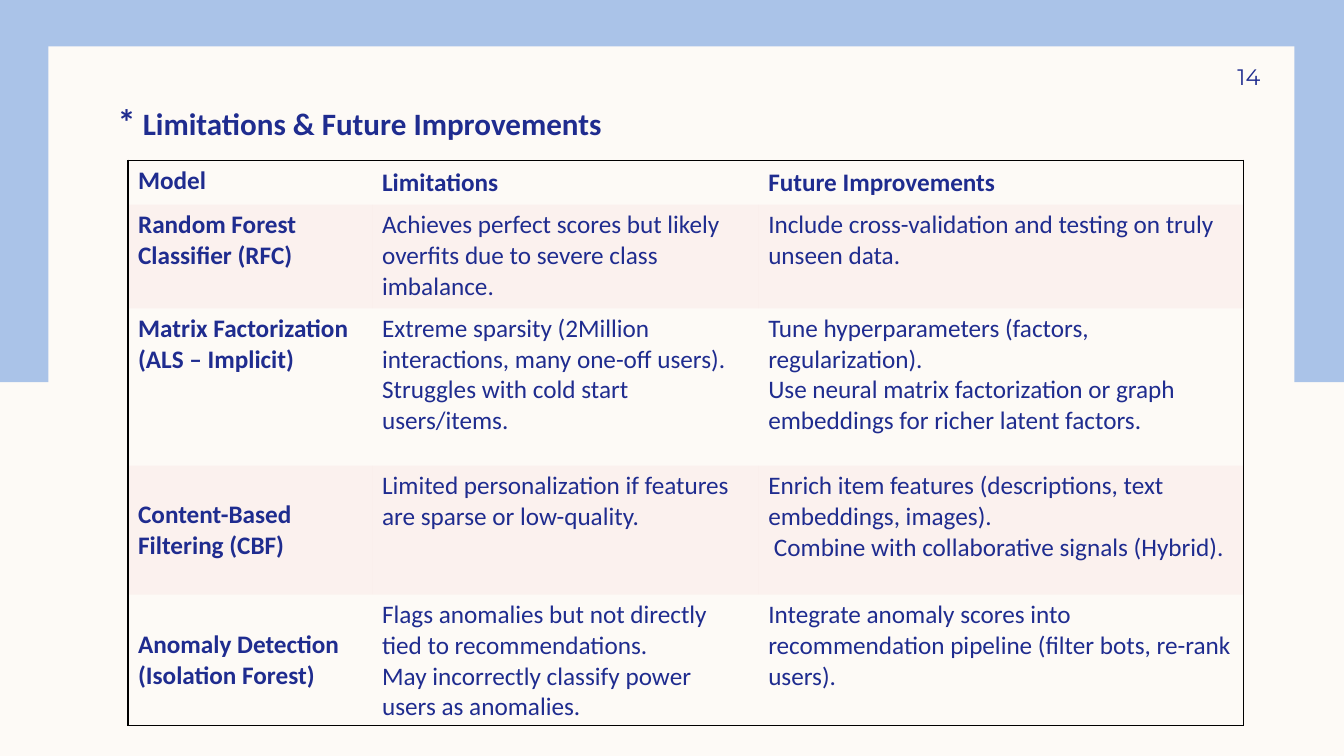
import dataclasses
import typing

import lxml.etree
import pptx
import pptx.dml.color
import pptx.enum.shapes
import pptx.enum.text
import pptx.oxml.ns
import pptx.util

Inches = pptx.util.Inches
Pt = pptx.util.Pt
RGB = pptx.dml.color.RGBColor
Anchor = pptx.enum.text.MSO_ANCHOR
Align = pptx.enum.text.PP_ALIGN
qn = pptx.oxml.ns.qn

NAVY = RGB(0x1F, 0x2C, 0x8F)
BLUE = RGB(0xAA, 0xC3, 0xE8)
CREAM = RGB(0xFD, 0xFA, 0xF6)
PINK = RGB(0xF5, 0xCD, 0xCE)
BLACK = RGB(0, 0, 0)


@dataclasses.dataclass
class Box:
    left: float
    top: float
    width: float
    height: float

    def place(self) -> list[int]:
        return [Inches(side) for side in dataclasses.astuple(self)]


@dataclasses.dataclass
class Row:
    height: float
    model: str
    limits: list[str]
    plans: list[str]
    middle: tuple[int, ...] = ()


PANELS = [
    (Box(-0.03, 0, 13.36, 3.79), BLUE),
    (Box(0.48, 0.46, 12.36, 6.59), CREAM),
]
WIDTHS = [2.42, 3.83, 4.81]
ROWS = [
    Row(0.44, "Model", ["Limitations"], ["Future Improvements"], (1, 2)),
    Row(1.03, "Random Forest Classifier (RFC)",
        ["Achieves perfect scores but likely overfits due to severe class imbalance."],
        ["Include cross-validation and testing on truly unseen data."]),
    Row(1.56, "Matrix Factorization (ALS – Implicit)",
        ["Extreme sparsity (2Million interactions, many one-off users). "
         "Struggles with cold start users/items."],
        ["Tune hyperparameters (factors, regularization).",
         "Use neural matrix factorization or graph embeddings for richer latent factors."]),
    Row(1.28, "Content-Based Filtering (CBF)",
        ["Limited personalization if features are sparse or low-quality."],
        ["Enrich item features (descriptions, text embeddings, images).",
         " Combine with collaborative signals (Hybrid)."], (0,)),
    Row(1.28, "Anomaly Detection (Isolation Forest)",
        ["Flags anomalies but not directly tied to recommendations.",
         "May incorrectly classify power users as anomalies."],
        ["Integrate anomaly scores into recommendation pipeline "
         "(filter bots, re-rank users)."], (0,)),
]


def assign(target: typing.Any, values: dict[str, typing.Any]) -> None:
    for name, value in values.items():
        setattr(target, name, value)


def write(para: typing.Any, text: str, size: float, font: str = "Calibri",
          bold: bool = False) -> None:
    run = para.add_run()
    run.text = text
    assign(run.font, {"size": Pt(size), "name": font, "bold": bold})
    run.font.color.rgb = NAVY


def panel(slide: typing.Any, box: Box, color: RGB) -> None:
    kind = pptx.enum.shapes.MSO_SHAPE.RECTANGLE
    shape = slide.shapes.add_shape(kind, *box.place())
    shape.shadow.inherit = False
    shape.fill.solid()
    shape.fill.fore_color.rgb = color
    shape.line.fill.background()


def label(slide: typing.Any, box: Box, frame: dict[str, typing.Any],
          style: dict[str, typing.Any]) -> typing.Any:
    body = slide.shapes.add_textbox(*box.place()).text_frame
    assign(body, {"word_wrap": True, **frame})
    para = body.paragraphs[0]
    assign(para, style)
    return para


def border(cell: typing.Any, sides: dict[str, bool]) -> None:
    props = cell._tc.get_or_add_tcPr()
    for side, drawn in sides.items():
        line = lxml.etree.SubElement(props, qn(f"a:ln{side}"), w=str(Pt(1)))
        if drawn:
            fill = lxml.etree.SubElement(line, qn("a:solidFill"))
            lxml.etree.SubElement(fill, qn("a:srgbClr"), val=str(BLACK))
        else:
            lxml.etree.SubElement(line, qn("a:noFill"))


def shade(cell: typing.Any, tinted: bool) -> None:
    if not tinted:
        cell.fill.background()
        return
    cell.fill.solid()
    cell.fill.fore_color.rgb = PINK
    color = cell._tc.tcPr.find(qn("a:solidFill"))[0]
    lxml.etree.SubElement(color, qn("a:alpha"), val="20000")


def grid(slide: typing.Any, box: Box) -> None:
    table = slide.shapes.add_table(len(ROWS), len(WIDTHS), *box.place()).table
    assign(table, {"first_row": False, "horz_banding": False})
    for column, width in zip(table.columns, WIDTHS):
        column.width = Inches(width)
    for r, row in enumerate(ROWS):
        table.rows[r].height = Inches(row.height)
        for c, lines in enumerate([[row.model], row.limits, row.plans]):
            cell = table.cell(r, c)
            cell.vertical_anchor = Anchor.MIDDLE if c in row.middle else Anchor.TOP
            # Only the outer edge of the table is ruled
            border(cell, {"L": c == 0, "R": c == len(WIDTHS) - 1,
                          "T": r == 0, "B": r == len(ROWS) - 1})
            shade(cell, r % 2 == 1)
            body = cell.text_frame
            for i, text in enumerate(lines):
                para = body.add_paragraph() if i else body.paragraphs[0]
                write(para, text, 18, bold=r == 0 or c == 0)


def main() -> None:
    deck = pptx.Presentation()
    assign(deck, {"slide_width": Inches(13.33), "slide_height": Inches(7.5)})
    slide = deck.slides.add_slide(deck.slide_layouts[6])

    # Backdrop
    slide.background.fill.solid()
    slide.background.fill.fore_color.rgb = CREAM
    for box, color in PANELS:
        panel(slide, box, color)

    # Page number
    page = label(slide, Box(11.33, 0.5, 1.17, 0.52),
                 {"vertical_anchor": Anchor.MIDDLE, "margin_right": 0},
                 {"alignment": Align.RIGHT})
    write(page, "14", 16, "Montserrat")

    # Heading
    inset = Inches(0.1)
    head = label(slide, Box(1, 0.93, 11.5, 0.6),
                 {"margin_top": inset, "margin_bottom": inset},
                 {"line_spacing": 0.9, "space_before": Pt(10)})
    for text, size in [(" ", 22.2), ("*", 25.9),
                       (" Limitations & Future Improvements", 22.2)]:
        write(head, text, size, bold=True)

    # Model table
    grid(slide, Box(1.27, 1.59, sum(WIDTHS), sum(row.height for row in ROWS)))
    deck.save("out.pptx")


if __name__ == "__main__":
    main()
